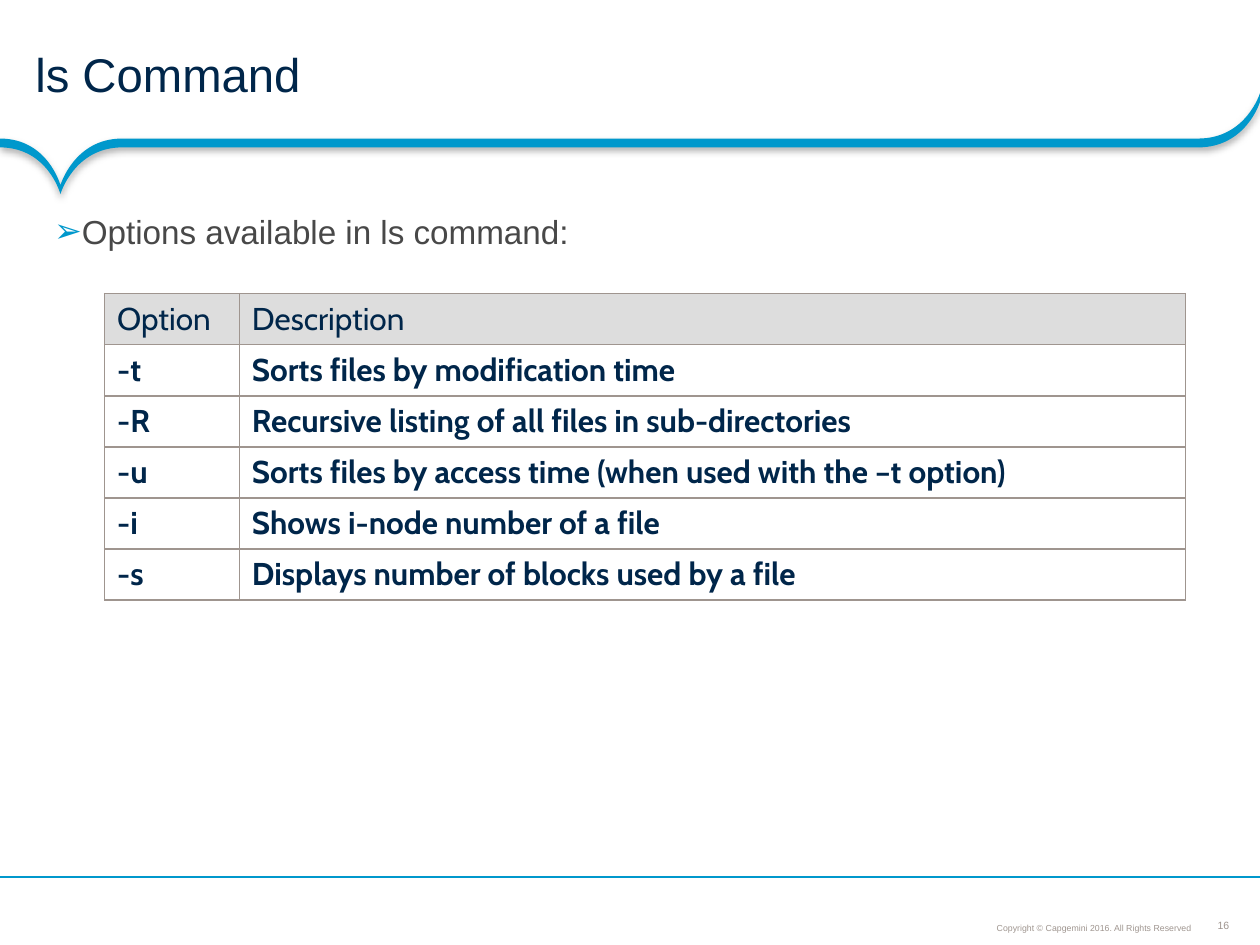
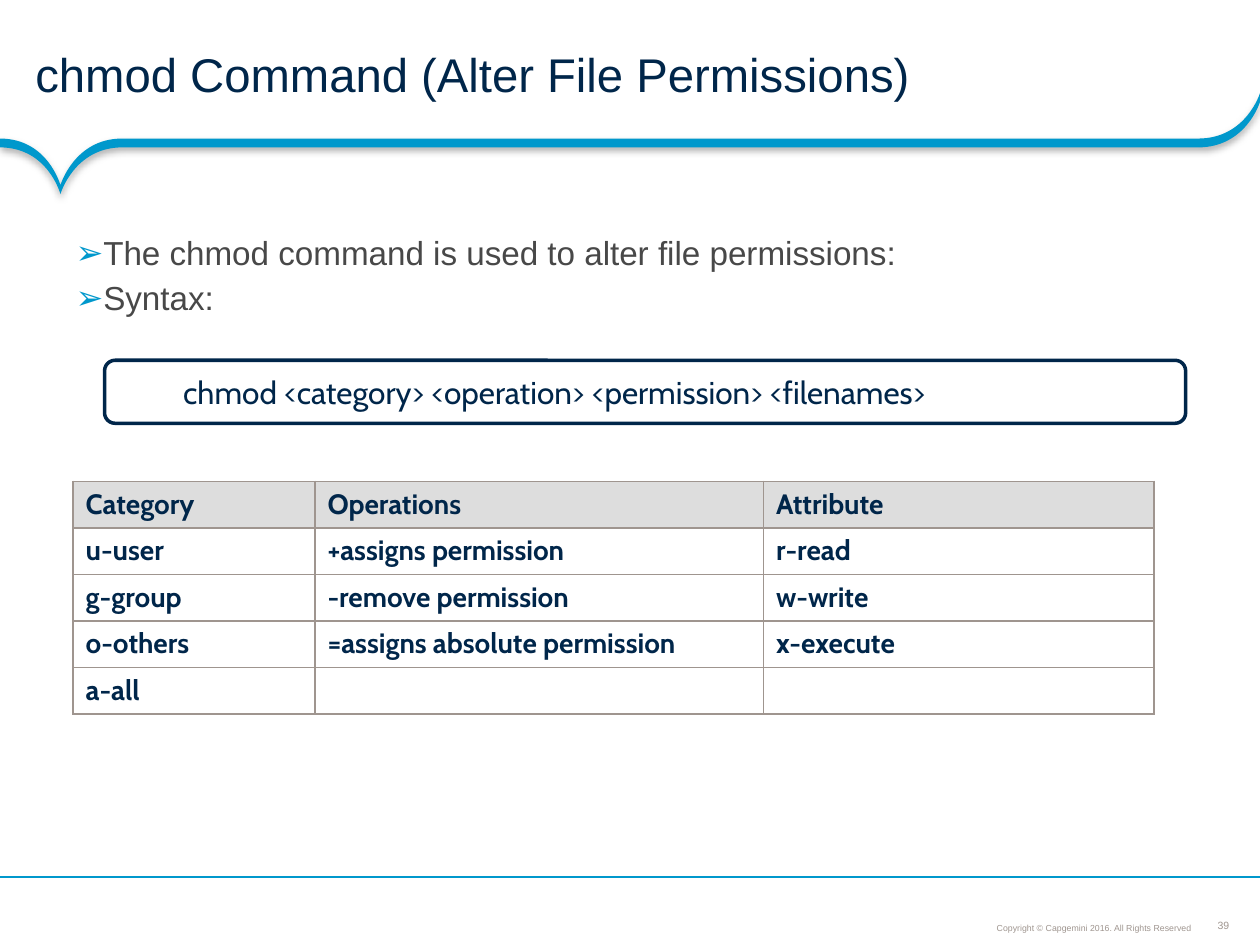
from lxml.etree import SubElement
from pptx import Presentation
from pptx.dml.color import RGBColor
from pptx.enum.shapes import MSO_CONNECTOR, MSO_SHAPE
from pptx.enum.text import MSO_ANCHOR, MSO_AUTO_SIZE, PP_ALIGN
from pptx.oxml.ns import qn
from pptx.util import Inches, Pt

COLORS = {
    "navy": "00264A",
    "blue": "0098CC",
    "text": "484848",
    "taupe": "9F958F",
    "header": "DDDDDD",
    "white": "FFFFFF",
    "shadow": "000000",
}
SANS, CABIN = "Arial", "Cabin"
WIDTH, HEIGHT = 10, 7.5
COPYRIGHT = "Copyright © Capgemini 2016. All Rights Reserved"

# Upper edge of the band as cubic curves, in hundredths of an inch;
# straight runs join them.
BAND_CURVES = [
    [(0, 110), (38, 110), (48, 147), (48, 147)],
    [(48, 147), (48, 147), (59, 110), (97, 110)],
    [(951, 110), (989, 110), (1000, 74), (1000, 74)],
]
BAND_TOP, BAND_THICKNESS = 74, 7

SLIDES = [
    {
        "number": "16",
        "title": "ls Command",
        "body_at": (0.33, 1.64, 9.53, 5.07),
        "bullets": ["Options available in ls command:"],
        "table": {
            "at": (0.83, 2.33),
            "height": 2.38,
            "cols": [1.07, 7.51],
            "size": 18,
            "bold_header": False,
            "rows": [
                ("Option", "Description"),
                ("-t", "Sorts files by modification time"),
                ("-R", "Recursive listing of all files in sub-directories"),
                ("-u", "Sorts files by access time (when used with the –t option)"),
                ("-i", "Shows i-node number of a file"),
                ("-s", "Displays number of blocks used by a file"),
            ],
        },
    },
    {
        "number": "39",
        "title": "chmod Command (Alter File Permissions)",
        "body_at": (0.5, 1.81, 9, 5.33),
        "bullets": ["The chmod command is used to alter file permissions:", "Syntax:"],
        "syntax": "chmod <category> <operation> <permission> <filenames>",
        "table": {
            "at": (0.58, 3.82),
            "height": 1.82,
            "cols": [1.92, 3.56, 3.1],
            "size": 16,
            "bold_header": True,
            "rows": [
                ("Category", "Operations", "Attribute"),
                ("u-user", "+assigns permission", "r-read"),
                ("g-group", "-remove permission", "w-write"),
                ("o-others", "=assigns absolute permission", "x-execute"),
                ("a-all", "", ""),
            ],
        },
    },
]
MIN_ROW_HEIGHT = 0.2


def rgb(name):
    return RGBColor.from_string(COLORS[name])


def box(values):
    return [Inches(v) for v in values]


def place(sp, at):
    sp.left, sp.top, sp.width, sp.height = box(at)


def set_frame(tf, margins, anchor=MSO_ANCHOR.TOP):
    """Margins are left, top, right, bottom in inches."""
    tf.margin_left, tf.margin_top, tf.margin_right, tf.margin_bottom = box(margins)
    tf.vertical_anchor = anchor
    tf.auto_size = MSO_AUTO_SIZE.NONE
    tf.word_wrap = True


def add_run(p, text, size, color, font=SANS, bold=False):
    r = p.add_run()
    r.text = text
    r.font.name, r.font.size, r.font.bold = font, Pt(size), bold
    r.font.color.rgb = rgb(color)


def add_color(parent, name):
    return SubElement(parent, qn("a:srgbClr"), val=COLORS[name])


def band_segments():
    """Yield (end point, control points or None) around the band."""
    lower = [[(x, y + BAND_THICKNESS) for x, y in reversed(curve)]
             for curve in reversed(BAND_CURVES)]
    pen = BAND_CURVES[0][0]
    for start, *controls, end in BAND_CURVES + lower:
        if start != pen:
            yield start, None
        yield end, controls
        pen = end


def bend(line, controls, end):
    """Turn a straight outline segment into a cubic curve."""
    line.tag = qn("a:cubicBezTo")
    line.remove(line[0])
    for x, y in [*controls, end]:
        SubElement(line, qn("a:pt"), x=str(x), y=str(y - BAND_TOP))


def add_band(s):
    segments = list(band_segments())
    fb = s.shapes.build_freeform(*BAND_CURVES[0][0], scale=Inches(0.01))
    fb.add_line_segments([end for end, _ in segments], close=True)
    sp = fb.convert_to_shape()
    spPr = sp._element.spPr
    for line, (end, controls) in zip(spPr.findall(".//" + qn("a:lnTo")), segments):
        if controls:
            parent = line.getparent()
            curve = SubElement(parent, qn("a:cubicBezTo"))
            parent.replace(line, curve)
            for x, y in [*controls, end]:
                SubElement(curve, qn("a:pt"), x=str(x), y=str(y - BAND_TOP))
    sp.fill.solid()
    sp.fill.fore_color.rgb = rgb("blue")
    sp.line.fill.background()
    effects = SubElement(spPr, qn("a:effectLst"))
    shadow = SubElement(effects, qn("a:outerShdw"), blurRad=str(Pt(4)),
                        dist=str(Pt(2)), dir="5400000", rotWithShape="0")
    SubElement(add_color(shadow, "shadow"), qn("a:alpha"), val="31000")


def add_label(s, at, text, size, align, margin, anchor):
    tf = s.shapes.add_textbox(*box(at)).text_frame
    set_frame(tf, [margin] * 4, anchor)
    p = tf.paragraphs[0]
    p.alignment, p.line_spacing = align, 0.9
    add_run(p, text, size, "taupe")


def add_frame(s, number):
    """Band, footer rule, copyright line and slide number."""
    add_band(s)
    rule = s.shapes.add_connector(MSO_CONNECTOR.STRAIGHT, *box((WIDTH, 6.96, 0, 6.96)))
    rule.line.color.rgb, rule.line.width = rgb("blue"), Pt(0.75)
    SubElement(rule._element.spPr, qn("a:effectLst"))
    add_label(s, (6.8, 7.24, 2.69, 0.2), COPYRIGHT, 5, PP_ALIGN.RIGHT, 0.03, MSO_ANCHOR.BOTTOM)
    add_label(s, (9.56, 7.3, 0.3, 0.1), number, 6, PP_ALIGN.CENTER, 0, MSO_ANCHOR.MIDDLE)


def fill_title(sp, text):
    place(sp, (0, 0, WIDTH, 1.1))
    set_frame(sp.text_frame, (0.28, 0.17, 0.15, 0.03), MSO_ANCHOR.MIDDLE)
    p = sp.text_frame.paragraphs[0]
    p.alignment, p.line_spacing = PP_ALIGN.LEFT, 0.85
    add_run(p, text, 27, "navy")


def fill_bullets(sp, at, bullets):
    place(sp, at)
    tf = sp.text_frame
    set_frame(tf, (0.1, 0.07, 0.07, 0.07))
    for i, text in enumerate(bullets):
        p = tf.add_paragraph() if i else tf.paragraphs[0]
        pPr = p._p.get_or_add_pPr()
        pPr.set("marL", str(Inches(0.15)))
        pPr.set("indent", str(-Inches(0.15)))
        add_color(SubElement(pPr, qn("a:buClr")), "blue")
        SubElement(pPr, qn("a:buChar"), char="➢")
        p.line_spacing, p.space_before, p.space_after = 0.9, Pt(0), Pt(5.1)
        add_run(p, text, 19, "text")


def add_syntax_box(s, text):
    sp = s.shapes.add_shape(MSO_SHAPE.ROUNDED_RECTANGLE, *box((0.83, 2.86, 8.58, 0.5)))
    sp.shadow.inherit = False
    sp.fill.solid()
    sp.fill.fore_color.rgb = rgb("white")
    sp.line.color.rgb, sp.line.width = rgb("navy"), Pt(2)
    set_frame(sp.text_frame, (0.6, 0.05, 0.1, 0.05), MSO_ANCHOR.MIDDLE)
    p = sp.text_frame.paragraphs[0]
    p.alignment = PP_ALIGN.LEFT
    add_run(p, text, 18, "navy", CABIN)


def set_borders(cell):
    tcPr = cell._tc.get_or_add_tcPr()
    for i, side in enumerate(("lnL", "lnR", "lnT", "lnB")):
        ln = SubElement(tcPr, qn(f"a:{side}"), w=str(Pt(1)))
        add_color(SubElement(ln, qn("a:solidFill")), "taupe")
        tcPr.insert(i, ln)


def add_options_table(s, spec):
    rows, cols = spec["rows"], spec["cols"]
    size = (sum(cols), spec["height"])
    frame = s.shapes.add_table(len(rows), len(cols), *box(spec["at"] + size))
    table = frame.table
    table.first_row = table.horz_banding = False
    for column, width in zip(table.columns, cols):
        column.width = Inches(width)
    for i, row in enumerate(rows):
        table.rows[i].height = Inches(MIN_ROW_HEIGHT)
        for j, text in enumerate(row):
            cell = table.cell(i, j)
            cell.fill.solid()
            cell.fill.fore_color.rgb = rgb("white" if i else "header")
            set_borders(cell)
            p = cell.text_frame.paragraphs[0]
            if text:
                add_run(p, text, spec["size"], "navy", CABIN, i > 0 or spec["bold_header"])
            else:
                SubElement(p._p, qn("a:endParaRPr"), sz=str(spec["size"] * 100))
    frame.height = Inches(spec["height"])


def main():
    prs = Presentation()
    prs.slide_width, prs.slide_height = Inches(WIDTH), Inches(HEIGHT)
    for content in SLIDES:
        s = prs.slides.add_slide(prs.slide_layouts[1])
        add_frame(s, content["number"])
        fill_title(s.shapes.title, content["title"])
        fill_bullets(s.placeholders[1], content["body_at"], content["bullets"])
        if "syntax" in content:
            add_syntax_box(s, content["syntax"])
        add_options_table(s, content["table"])
    prs.save("out.pptx")


if __name__ == "__main__":
    main()
